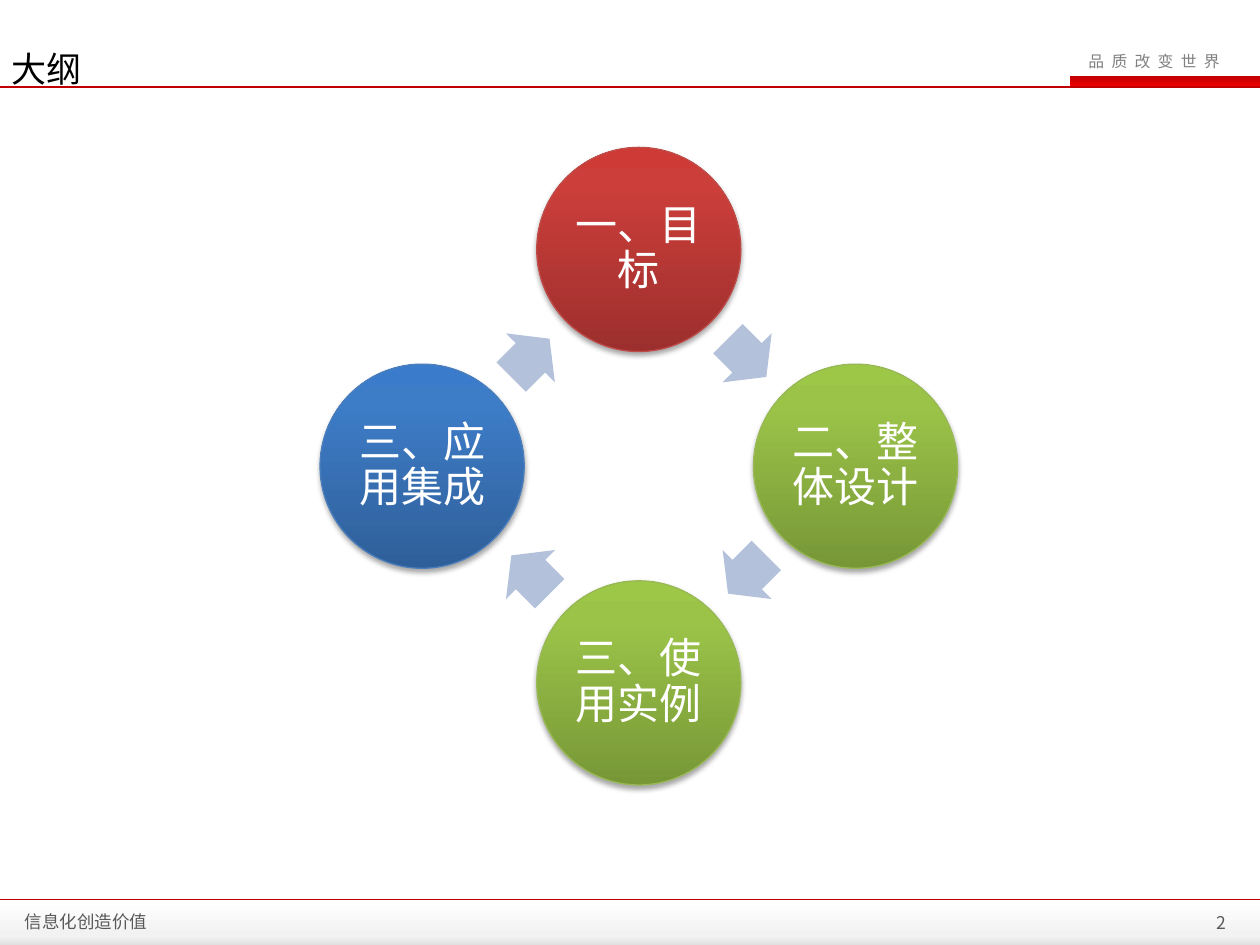
from math import cos, radians, sin

from lxml.etree import SubElement
from pptx import Presentation
from pptx.dml.color import RGBColor
from pptx.enum.shapes import MSO_CONNECTOR, MSO_SHAPE
from pptx.enum.text import MSO_ANCHOR as ANCHOR, PP_ALIGN as ALIGN
from pptx.oxml.ns import qn
from pptx.util import Inches, Pt

FONT = "Noto Sans CJK SC"
GREEN = [(0, "779737"), (80, "9BC348"), (100, "9DC746")], "98B955"
RED = [(0, "9C2F2D"), (80, "CB3E3A"), (100, "CE3B37")], "BF4C48"
BLUE = [(0, "2F5F99"), (80, "3D7CC7"), (100, "3A7CCB")], "4B7EBC"

# Cycle steps, clockwise from the top: text, (gradient, outline)
STEPS = [
    ("一、目标", RED),
    ("二、整体设计", GREEN),
    ("三、使用实例", GREEN),
    ("三、应用集成", BLUE),
]
CENTER_X, CENTER_Y, RADIUS = 5.07, 3.7, 1.72
CIRCLE = 1.62
ARROW_W, ARROW_H = 0.43, 0.55

# Bands: left, top, width, height, gradient stops
BANDS = [
    (8.49, 0.6, 1.51, 0.09, [(0, "C00000"), (100, "EE0000")]),
    (0, 7.14, 10, 0.38, [(0, "FFFFFF"), (75, "F2F2F2"), (100, "DCDCDC")]),
]
# Rules: y, width in points
RULES = [(0.69, 1.5), (7.14, 1)]
# Labels: text, box, size, colour, alignment, anchor
LABELS = [
    ("品质改变世界", (8.54, 0.36, 1.36, 0.25), 9, "808080", ALIGN.LEFT, ANCHOR.TOP),
    ("信息化创造价值", (0.1, 7.21, 3.17, 0.21), 10, "595959", ALIGN.LEFT, ANCHOR.MIDDLE),
    ("2", (8.65, 7.2, 1.18, 0.25), 10, "595959", ALIGN.RIGHT, ANCHOR.MIDDLE),
    ("大纲", (-0.01, 0.29, 8.37, 0.54), 20, "000000", ALIGN.LEFT, ANCHOR.TOP),
]


def rgb(color):
    return RGBColor.from_string(color)


def add_shape(kind, x, y, w, h):
    sp = s.shapes.add_shape(kind, Inches(x), Inches(y), Inches(w), Inches(h))
    sp.shadow.inherit = False
    sp.line.fill.background()
    return sp


def set_gradient(sp, stops, angle):
    sp.fill.gradient()
    grad = sp.fill._xPr.find(qn("a:gradFill"))
    for child in list(grad):
        grad.remove(child)
    gs_list = SubElement(grad, qn("a:gsLst"))
    for pos, color in stops:
        gs = SubElement(gs_list, qn("a:gs"), pos=str(pos * 1000))
        SubElement(gs, qn("a:srgbClr"), val=color)
    SubElement(grad, qn("a:lin"), ang=str(angle * 60000), scaled="0")


def add_shadow(sp):
    effects = sp._element.spPr.find(qn("a:effectLst"))
    shadow = SubElement(effects, qn("a:outerShdw"), blurRad=str(Pt(3.1)),
                        dist=str(Pt(1.8)), dir="5400000", rotWithShape="0")
    color = SubElement(shadow, qn("a:srgbClr"), val="000000")
    SubElement(color, qn("a:alpha"), val="35000")


def set_text(sp, text, size, color, align, anchor):
    tf = sp.text_frame
    tf.text = text
    tf.word_wrap = True
    tf.vertical_anchor = anchor
    p = tf.paragraphs[0]
    p.alignment = align
    r = p.runs[0]
    r.font.size = Pt(size)
    r.font.name = FONT
    r.font.color.rgb = rgb(color)
    SubElement(r.font._element, qn("a:ea"), typeface=FONT)
    return tf


prs = Presentation()
prs.slide_width, prs.slide_height = Inches(10), Inches(7.5)
s = prs.slides.add_slide(prs.slide_layouts[6])

# Header and footer bands with their rules
for *box, stops in BANDS:
    set_gradient(add_shape(MSO_SHAPE.RECTANGLE, *box), stops, 90)
for y, width in RULES:
    rule = s.shapes.add_connector(MSO_CONNECTOR.STRAIGHT, 0, Inches(y), Inches(10), Inches(y))
    rule.line.color.rgb = rgb("C00000")
    rule.line.width = Pt(width)
    SubElement(rule._element.spPr, qn("a:effectLst"))

# Circles on the ring, each followed by an arrow to the next
for i, (text, (stops, outline)) in enumerate(STEPS):
    angle = radians(90 * i - 90)
    x = CENTER_X + RADIUS * cos(angle)
    y = CENTER_Y + RADIUS * sin(angle)
    circle = add_shape(MSO_SHAPE.OVAL, x - CIRCLE / 2, y - CIRCLE / 2, CIRCLE, CIRCLE)
    set_gradient(circle, stops, 270)
    circle.line.color.rgb = rgb(outline)
    circle.line.width = Pt(0.75)
    add_shadow(circle)
    tf = set_text(circle, text, 24, "FFFFFF", ALIGN.CENTER, ANCHOR.MIDDLE)
    tf.margin_left = tf.margin_right = tf.margin_top = tf.margin_bottom = Inches(0.03)
    tf.paragraphs[0].line_spacing = 0.9

    # The arrow sits midway along the chord between two circles
    middle = angle + radians(45)
    reach = RADIUS * cos(radians(45))
    arrow = add_shape(MSO_SHAPE.RIGHT_ARROW,
                      CENTER_X + reach * cos(middle) - ARROW_W / 2,
                      CENTER_Y + reach * sin(middle) - ARROW_H / 2, ARROW_W, ARROW_H)
    arrow.adjustments[0], arrow.adjustments[1] = 0.6, 0.5
    arrow.rotation = 45 + 90 * i
    arrow.fill.solid()
    arrow.fill.fore_color.rgb = rgb("B3C1DB")

# Slogan, footer, page number and title
frames = []
for text, box, *style in LABELS:
    label = s.shapes.add_textbox(*map(Inches, box))
    frames.append(set_text(label, text, *style))
slogan, title = frames[0], frames[-1]
slogan.word_wrap = False
slogan.paragraphs[0].runs[0].font._element.set("spc", "420")
title.paragraphs[0].line_spacing = Pt(27)

prs.save("out.pptx")
